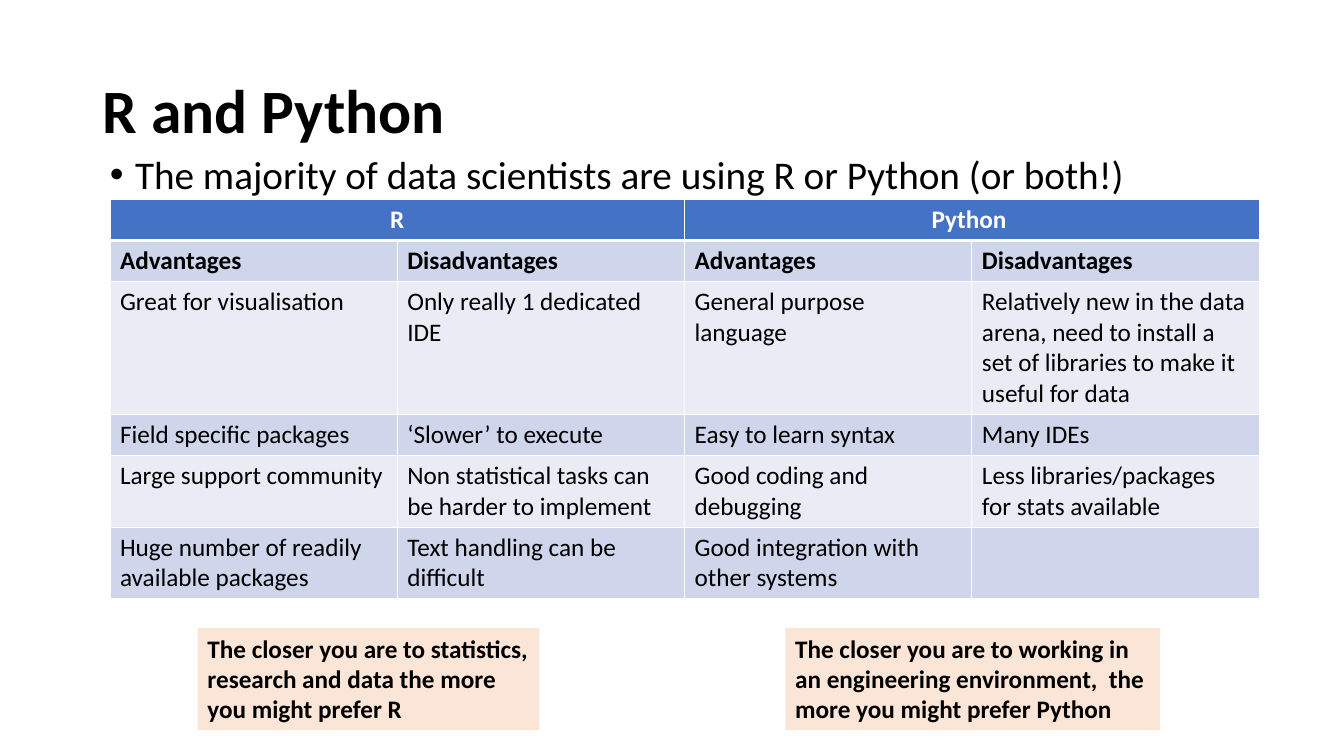
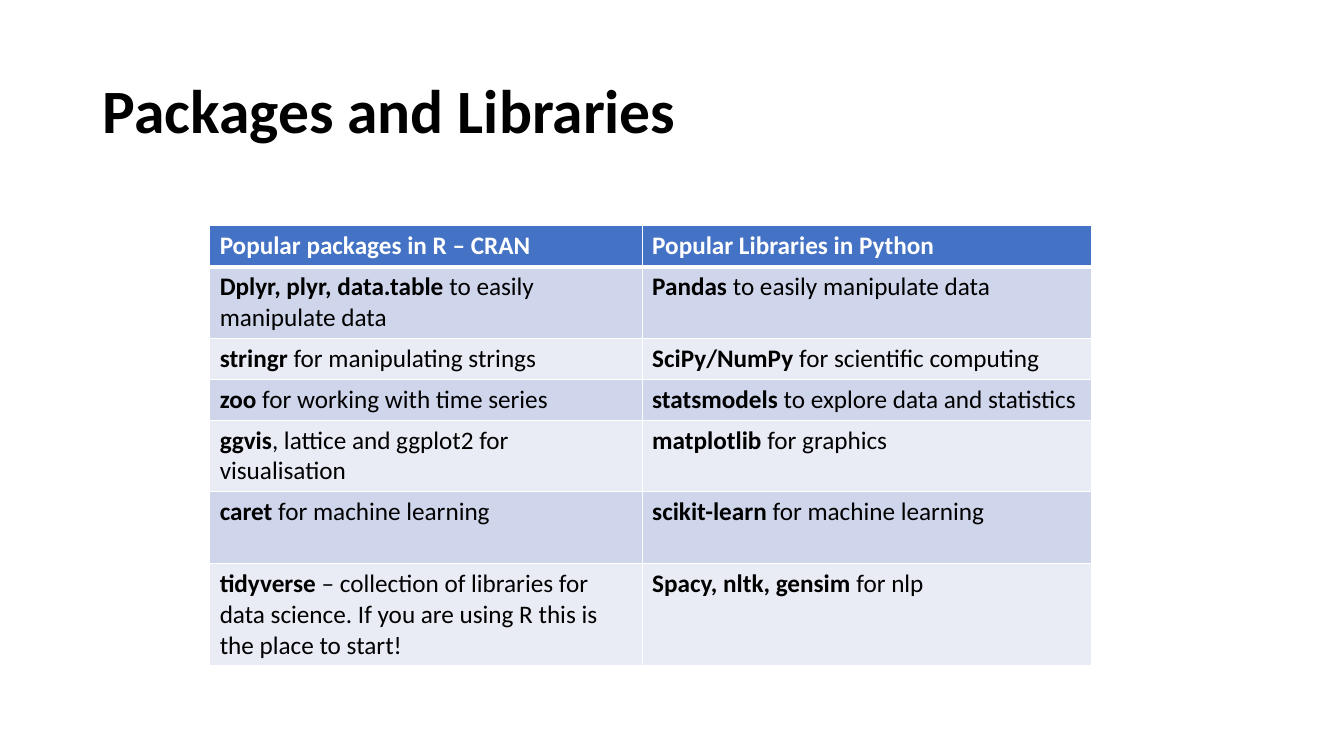
from dataclasses import dataclass

from lxml.etree import SubElement
from pptx import Presentation
from pptx.dml.color import RGBColor
from pptx.enum.shapes import MSO_SHAPE
from pptx.enum.text import MSO_ANCHOR, MSO_AUTO_SIZE, PP_ALIGN
from pptx.oxml.ns import qn
from pptx.slide import Slide
from pptx.table import _Cell
from pptx.text.text import TextFrame, _Paragraph
from pptx.util import Inches, Pt

SLIDE_WIDTH = Inches(13.33)
SLIDE_HEIGHT = Inches(7.5)
FONT = "Calibri"
BLACK = RGBColor(0x00, 0x00, 0x00)
WHITE = RGBColor(0xFF, 0xFF, 0xFF)
HEADER_BLUE = RGBColor(0x44, 0x72, 0xC4)
BANDS = (RGBColor(0xE9, 0xEB, 0xF5), RGBColor(0xCF, 0xD5, 0xEA))
PEACH = RGBColor(0xFB, 0xE5, 0xD6)
TITLE_SIZE, BULLET_SIZE, TEXT_SIZE = 44, 28, 18
LINE_HEIGHT = Pt(22)
CELL_PADDING = Inches(0.1)
THIN, THICK = Pt(1), Pt(3)


@dataclass(frozen=True)
class Area:
    """Left, top, width and height in percent of the slide."""
    left: float
    top: float
    width: float
    height: float

    def lengths(self) -> tuple[int, int, int, int]:
        return (across(self.left), down(self.top), across(self.width), down(self.height))


@dataclass(frozen=True)
class Entry:
    bold: str = ""
    plain: str = ""


@dataclass(frozen=True)
class Row:
    entries: tuple[Entry, ...]
    lines: int = 1


@dataclass(frozen=True)
class Grid:
    left: float
    top: float
    columns: tuple[float, ...]
    rows: tuple[Row, ...]
    header_span: int = 1


@dataclass(frozen=True)
class Caption:
    area: Area
    text: str


TITLE_AREA = Area(6.9, 5.33, 86.25, 19.33)
BULLET_AREA = Area(7.43, 19.87, 86.25, 63.47)

COMPARISON = Grid(8.18, 26.4, (21.38,) * 4, (
    Row((Entry("R"), Entry(), Entry("Python "), Entry())),
    Row((Entry("Advantages"), Entry("Disadvantages")) * 2),
    Row((
        Entry(plain="Great for visualisation"),
        Entry(plain="Only really 1 dedicated IDE"),
        Entry(plain="General purpose language"),
        Entry(plain="Relatively new in the data arena, need to install a set of "
                    "libraries to make it useful for data"),
    ), 4),
    Row((
        Entry(plain="Field specific packages"),
        Entry(plain="‘Slower’ to execute"),
        Entry(plain="Easy to learn syntax"),
        Entry(plain="Many IDEs"),
    )),
    Row((
        Entry(plain="Large support community"),
        Entry(plain="Non statistical tasks can be harder to implement"),
        Entry(plain="Good coding and debugging"),
        Entry(plain="Less libraries/packages for stats available"),
    ), 2),
    Row((
        Entry(plain="Huge number of readily available packages"),
        Entry(plain="Text handling can be difficult"),
        Entry(plain="Good integration with other systems"),
        Entry(),
    ), 2),
), header_span=2)

LIBRARIES = Grid(15.6, 29.87, (32.18, 33.46), (
    Row((Entry("Popular packages in R – CRAN"), Entry("Popular Libraries in Python"))),
    Row((Entry("Dplyr, plyr, data.table ", "to easily manipulate data"),
         Entry("Pandas", " to easily manipulate data")), 2),
    Row((Entry("stringr", " for manipulating strings"),
         Entry("SciPy/NumPy ", "for scientific computing"))),
    Row((Entry("zoo ", "for working with time series"),
         Entry("statsmodels", " to explore data and statistics"))),
    Row((Entry("ggvis", ", lattice and ggplot2 for visualisation"),
         Entry("matplotlib", " for graphics")), 2),
    Row((Entry("caret ", "for machine learning"),
         Entry("scikit-learn", " for machine learning")), 2),
    Row((Entry("tidyverse", " – collection of libraries for data science. If you are "
                            "using R this is the place to start!"),
         Entry("Spacy, nltk, gensim ", "for nlp")), 3),
))

CAPTIONS = (
    Caption(Area(14.7, 83.07, 25.43, 13.47),
            "The closer you are to statistics, research and data the more you might prefer R"),
    Caption(Area(58.43, 83.07, 27.9, 13.47),
            "The closer you are to working in an engineering environment,  the more you "
            "might prefer Python"),
)


def across(share: float) -> int:
    return round(SLIDE_WIDTH * share / 100)


def down(share: float) -> int:
    return round(SLIDE_HEIGHT * share / 100)


def format_runs(paragraph: _Paragraph, size: int, color: RGBColor, bold: bool) -> None:
    for run in paragraph.runs:
        run.font.name = FONT
        run.font.size = Pt(size)
        run.font.bold = bold
        run.font.color.rgb = color


def write(text_frame: TextFrame, text: str, size: int, bold: bool) -> _Paragraph:
    text_frame.text = text
    text_frame.word_wrap = True
    paragraph = text_frame.paragraphs[0]
    paragraph.alignment = PP_ALIGN.LEFT
    format_runs(paragraph, size, BLACK, bold)
    return paragraph


def add_title(slide: Slide, text: str) -> None:
    text_frame = slide.shapes.add_textbox(*TITLE_AREA.lengths()).text_frame
    text_frame.vertical_anchor = MSO_ANCHOR.MIDDLE
    write(text_frame, text, TITLE_SIZE, True).line_spacing = 0.9


def add_bullet(slide: Slide, text: str) -> None:
    text_frame = slide.shapes.add_textbox(*BULLET_AREA.lengths()).text_frame
    paragraph = write(text_frame, text, BULLET_SIZE, False)
    paragraph.line_spacing = 0.9
    paragraph.space_before = Pt(10)
    properties = paragraph._p.get_or_add_pPr()
    properties.set("marL", str(Inches(0.25)))
    properties.set("indent", str(-Inches(0.25)))
    SubElement(properties, qn("a:buFont"), typeface="Arial")
    SubElement(properties, qn("a:buChar"), char="•")


def add_caption(slide: Slide, caption: Caption) -> None:
    shape = slide.shapes.add_shape(MSO_SHAPE.RECTANGLE, *caption.area.lengths())
    shape.shadow.inherit = False
    shape.fill.solid()
    shape.fill.fore_color.rgb = PEACH
    shape.line.fill.background()
    shape.text_frame.vertical_anchor = MSO_ANCHOR.TOP
    write(shape.text_frame, caption.text, TEXT_SIZE, True)
    shape.text_frame.auto_size = MSO_AUTO_SIZE.SHAPE_TO_FIT_TEXT


def style_cell(cell: _Cell, row_index: int) -> None:
    widths = {
        "L": THIN,
        "R": THIN,
        "T": THICK if row_index == 1 else THIN,
        "B": THICK if row_index == 0 else THIN,
    }
    properties = cell._tc.get_or_add_tcPr()
    for side, width in widths.items():
        border = SubElement(properties, qn(f"a:ln{side}"), w=str(width))
        fill = SubElement(border, qn("a:solidFill"))
        SubElement(fill, qn("a:srgbClr"), val=str(WHITE))
    cell.fill.solid()
    cell.fill.fore_color.rgb = HEADER_BLUE if row_index == 0 else BANDS[row_index % 2]


def write_entry(cell: _Cell, entry: Entry, color: RGBColor) -> None:
    paragraph = cell.text_frame.paragraphs[0]
    paragraph.text = entry.bold or entry.plain
    format_runs(paragraph, TEXT_SIZE, color, bool(entry.bold))
    if entry.bold and entry.plain:
        run = paragraph.add_run()
        run.text = entry.plain
        run.font.name = FONT
        run.font.size = Pt(TEXT_SIZE)
        run.font.bold = False
        run.font.color.rgb = color


def add_grid(slide: Slide, grid: Grid) -> None:
    heights = [CELL_PADDING + LINE_HEIGHT * row.lines for row in grid.rows]
    table = slide.shapes.add_table(
        len(grid.rows), len(grid.columns), across(grid.left), down(grid.top),
        across(sum(grid.columns)), sum(heights),
    ).table
    for column, share in zip(table.columns, grid.columns):
        column.width = across(share)
    for row_index, row in enumerate(grid.rows):
        table.rows[row_index].height = heights[row_index]
        for column_index, entry in enumerate(row.entries):
            cell = table.cell(row_index, column_index)
            style_cell(cell, row_index)
            if entry != Entry():
                write_entry(cell, entry, WHITE if row_index == 0 else BLACK)
    if grid.header_span > 1:
        for start in range(0, len(grid.columns), grid.header_span):
            header = table.cell(0, start)
            header.merge(table.cell(0, start + grid.header_span - 1))
            header.text_frame.paragraphs[0].alignment = PP_ALIGN.CENTER


def main() -> None:
    presentation = Presentation()
    presentation.slide_width = SLIDE_WIDTH
    presentation.slide_height = SLIDE_HEIGHT
    blank = presentation.slide_layouts[6]

    languages = presentation.slides.add_slide(blank)
    add_title(languages, "R and Python")
    add_bullet(languages, "The majority of data scientists are using R or Python (or both!)")
    add_grid(languages, COMPARISON)
    for caption in CAPTIONS:
        add_caption(languages, caption)

    libraries = presentation.slides.add_slide(blank)
    add_title(libraries, "Packages and Libraries")
    add_grid(libraries, LIBRARIES)

    presentation.save("out.pptx")


if __name__ == "__main__":
    main()
